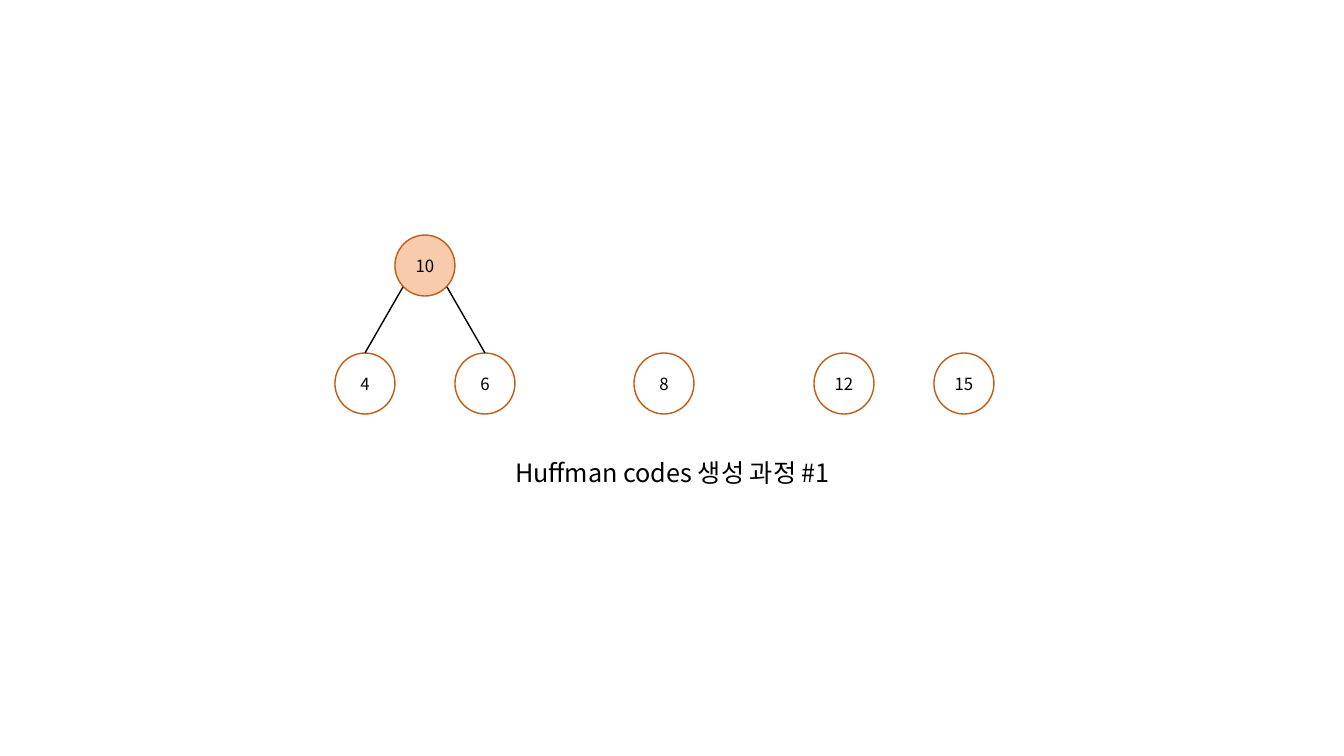
from lxml.etree import SubElement
from pptx import Presentation
from pptx.dml.color import RGBColor
from pptx.enum.shapes import MSO_CONNECTOR, MSO_SHAPE
from pptx.enum.text import MSO_ANCHOR, MSO_AUTO_SIZE, PP_ALIGN
from pptx.oxml.ns import qn
from pptx.util import Emu, Pt

FONT = "Noto Sans CJK KR"
COLORS = {"ink": "000000", "rim": "C55A11", "leaf": "FFFFFF", "sum": "F8CBAD"}
WIDE, HIGH = 60, 61
ROOT_Y, LEAF_Y = 235, 353


def px(n):
    return Emu(round(n * 914400 / 100.8))


def color(name):
    return RGBColor.from_string(COLORS[name])


def write(frame, text, size):
    para = frame.paragraphs[0]
    para.text = text
    para.alignment = PP_ALIGN.CENTER
    para.font.size = Pt(size)
    para.font.color.rgb = color("ink")
    para.font.name = FONT
    base = para._p.pPr.find(qn("a:defRPr"))
    SubElement(base, qn("a:ea"), typeface=FONT)


def add_node(slide, x, y, label, fill):
    node = slide.shapes.add_shape(MSO_SHAPE.OVAL, px(x), px(y), px(WIDE), px(HIGH))
    node.shadow.inherit = False
    node.fill.solid()
    node.fill.fore_color.rgb = color(fill)
    node.line.color.rgb = color("rim")
    node.line.width = Pt(1)
    frame = node.text_frame
    frame.margin_left = frame.margin_right = 0
    frame.vertical_anchor = MSO_ANCHOR.MIDDLE
    write(frame, label, 12)
    return node


def add_edge(slide, x, y, child):
    edge = slide.shapes.add_connector(
        MSO_CONNECTOR.STRAIGHT, px(x), px(y), px(x), px(LEAF_Y))
    edge.end_connect(child, 0)
    edge.line.color.rgb = color("ink")
    edge.line.width = Pt(1)
    SubElement(edge._element.spPr, qn("a:effectLst"))


def add_title(slide, x, y, wide, high, text):
    box = slide.shapes.add_textbox(px(x), px(y), px(wide), px(high))
    frame = box.text_frame
    frame.word_wrap = True
    frame.auto_size = MSO_AUTO_SIZE.SHAPE_TO_FIT_TEXT
    write(frame, text, 18)


def main():
    deck = Presentation()
    deck.slide_width, deck.slide_height = px(1344), px(756)
    slide = deck.slides.add_slide(deck.slide_layouts[6])

    root_x = 395
    add_node(slide, root_x, ROOT_Y, "10", "sum")
    leaves = [(335, "4"), (455, "6"), (634, "8"), (814, "12"), (934, "15")]
    nodes = [add_node(slide, x, LEAF_Y, label, "leaf") for x, label in leaves]

    mid = root_x + WIDE // 2
    for shift, child in zip((-22, 22), nodes):
        add_edge(slide, mid + shift, 287, child)

    add_title(slide, 373, 452, 599, 40, "Huffman codes 생성 과정 #1")
    deck.save("out.pptx")


if __name__ == "__main__":
    main()
